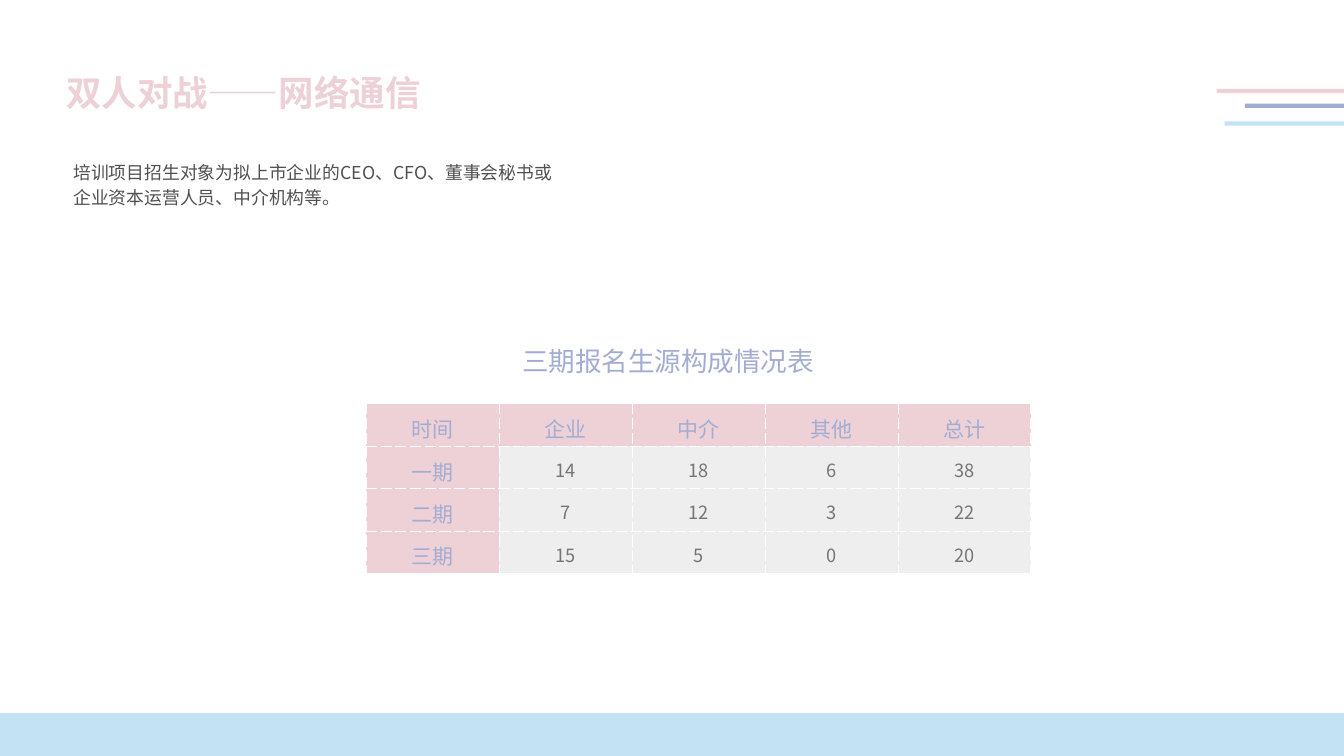
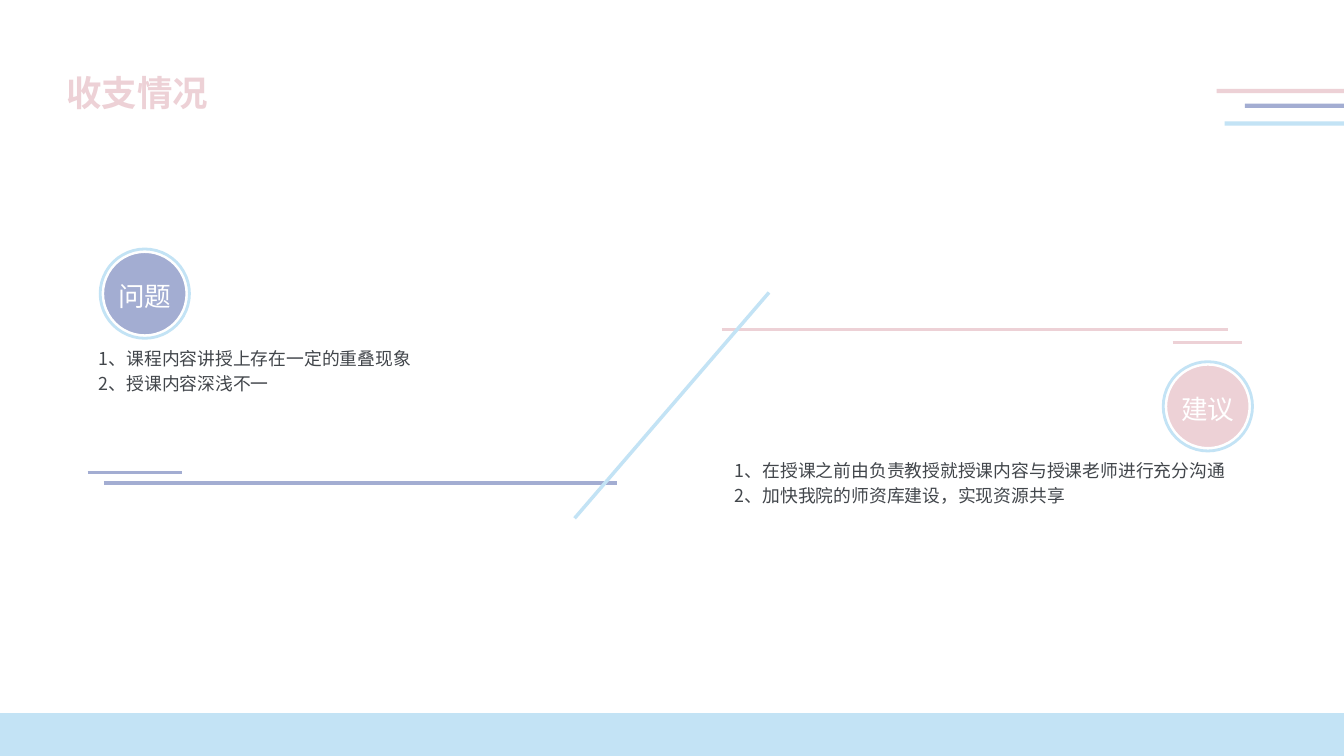
"""Build two slides: an enrolment table and a page of problems and advice."""
from lxml import etree
from pptx import Presentation
from pptx import util as u
from pptx.dml.color import RGBColor
from pptx.enum import shapes, text
from pptx.oxml import parse_xml
from pptx.oxml.ns import nsdecls, qn

FONT = "Noto Sans CJK SC"
HUES = {"pink": "EDD1D6", "blue": "A3ADD2", "sky": "C3E3F5", "white": "FFFFFF",
        "pale": "EEEEEE", "grey": "757575", "dark": "505050", "ink": "42464B"}
WIDE, HIGH = 33.87, 19.05
FOOT = 1.08
BARS = [(30.66, 2.24, "pink"), (31.37, 2.61, "blue"), (30.86, 3.06, "sky")]
BAR = 0.11
SMALL, MID, BIG = 12.7, 19, 25.3

INTRO = ["培训项目招生对象为拟上市企业的CEO、CFO、董事会秘书或企业资本运营人员、中介机构等。"]
HEAD = "三期报名生源构成情况表"
ROWS = [("时间", "企业", "中介", "其他", "总计"),
        ("一期", 14, 18, 6, 38),
        ("二期", 7, 12, 3, 22),
        ("三期", 15, 5, 0, 20)]
GRID = (9.23, 10.17)
CELL = (3.35, 1.07)

NOTES = [((2.49, 8.71, 13.08, 1.19),
          ["1、课程内容讲授上存在一定的重叠现象", "2、授课内容深浅不一"]),
         ((18.52, 11.53, 12.73, 1.19),
          ["1、在授课之前由负责教授就授课内容与授课老师进行充分沟通",
           "2、加快我院的师资库建设，实现资源共享"])]
LINES = [(2.62, 12.17, 15.54, 12.17, "blue"),
         (18.19, 8.3, 30.94, 8.3, "pink"),
         (14.48, 13.06, 19.38, 7.37, "sky"),
         (2.21, 11.9, 4.6, 11.9, "blue"),
         (29.55, 8.63, 31.31, 8.63, "pink")]
DISCS = [(3.65, 7.4, "问题", "blue"), (30.44, 10.24, "建议", "pink")]
DISC, RING = 2.12, 2.25


def cm(*nums):
    return [u.Cm(n) for n in nums]


def rgb(hue):
    return RGBColor.from_string(HUES[hue])


def write(frame, lines, size, hue, bold=False, mid=False):
    frame.vertical_anchor = text.MSO_ANCHOR.MIDDLE
    for i, line in enumerate(lines):
        para = frame.add_paragraph() if i else frame.paragraphs[0]
        para.line_spacing = 1.16
        para.alignment = text.PP_ALIGN.CENTER if mid else text.PP_ALIGN.LEFT
        run = para.add_run()
        run.text = line
        font = run.font
        font.size, font.bold, font.name = u.Pt(size), bold, FONT
        font.color.rgb = rgb(hue)
        east = etree.SubElement(run._r.get_or_add_rPr(), qn("a:ea"))
        east.set("typeface", FONT)


def trim(frame):
    frame.margin_left = frame.margin_right = 0
    frame.margin_top = frame.margin_bottom = 0


def label(slide, box, lines, size, hue, bold=False):
    frame = slide.shapes.add_textbox(*cm(*box)).text_frame
    trim(frame)
    frame.word_wrap = True
    frame.auto_size = text.MSO_AUTO_SIZE.SHAPE_TO_FIT_TEXT
    write(frame, lines, size, hue, bold)


def block(slide, kind, box, fill=None, edge=None):
    shape = slide.shapes.add_shape(kind, *cm(*box))
    shape.shadow.inherit = False
    if fill:
        shape.fill.solid()
        shape.fill.fore_color.rgb = rgb(fill)
    else:
        shape.fill.background()
    if edge:
        shape.line.color.rgb = rgb(edge)
        shape.line.width = u.Pt(2)
    else:
        shape.line.fill.background()
    return shape


def page(deck, title):
    slide = deck.slides.add_slide(deck.slide_layouts[6])
    rect = shapes.MSO_SHAPE.RECTANGLE
    block(slide, rect, (0, HIGH - FOOT, WIDE, FOOT), "sky")
    for x, y, hue in BARS:
        block(slide, rect, (x, y, WIDE - x, BAR), hue)
    label(slide, (1.67, 1.66, 14.1, 1.18), [title], BIG, "pink", True)
    return slide


def stroke(slide, x, y, x2, y2, hue):
    line = slide.shapes.add_connector(shapes.MSO_CONNECTOR.STRAIGHT, *cm(x, y, x2, y2))
    line.line.color.rgb = rgb(hue)
    line.line.width = u.Pt(2.5)
    etree.SubElement(line._element.spPr, qn("a:effectLst"))


def badge(slide, x, y, word, hue):
    oval = shapes.MSO_SHAPE.OVAL
    for size, fill, edge in ((DISC, hue, "white"), (RING, None, "sky")):
        shape = block(slide, oval, (x - size / 2, y - size / 2, size, size), fill, edge)
        if fill:
            trim(shape.text_frame)
            shape.text_frame.word_wrap = False
            write(shape.text_frame, [word], MID, "white", mid=True)


def edges(cell):
    props = cell._tc.get_or_add_tcPr()
    for i, side in enumerate("LRTB"):
        props.insert(i, parse_xml(
            f'<a:ln{side} {nsdecls("a")} w="9525"><a:solidFill>'
            f'<a:srgbClr val="{HUES["white"]}"/></a:solidFill>'
            f'<a:prstDash val="dash"/></a:ln{side}>'))


def grid(slide):
    wide, high = CELL
    rows, cols = len(ROWS), len(ROWS[0])
    table = slide.shapes.add_table(
        rows, cols, *cm(*GRID, wide * cols, high * rows)).table
    table.first_row = table.horz_banding = False
    for col in table.columns:
        col.width = u.Cm(wide)
    for r, row in enumerate(ROWS):
        table.rows[r].height = u.Cm(high)
        for c, value in enumerate(row):
            cell = table.cell(r, c)
            fill, size, hue = ("pale", 13, "grey") if r and c else ("pink", 15, "blue")
            cell.fill.solid()
            cell.fill.fore_color.rgb = rgb(fill)
            cell.margin_left = cell.margin_right = u.Cm(0.18)
            cell.margin_top = cell.margin_bottom = u.Cm(0.12)
            write(cell.text_frame, [str(value)], size, hue, mid=True)
            cell.vertical_anchor = text.MSO_ANCHOR.MIDDLE
            edges(cell)


deck = Presentation()
deck.slide_width, deck.slide_height = cm(WIDE, HIGH)

slide = page(deck, "双人对战——网络通信")
grid(slide)
label(slide, (13.16, 8.59, 7.62, 0.89), [HEAD], MID, "blue")
label(slide, (1.85, 4.01, 12.24, 1.22), INTRO, SMALL, "dark")

slide = page(deck, "收支情况")
for box, lines in NOTES:
    label(slide, box, lines, SMALL, "ink")
for line in LINES:
    stroke(slide, *line)
for disc in DISCS:
    badge(slide, *disc)

deck.save("out.pptx")
